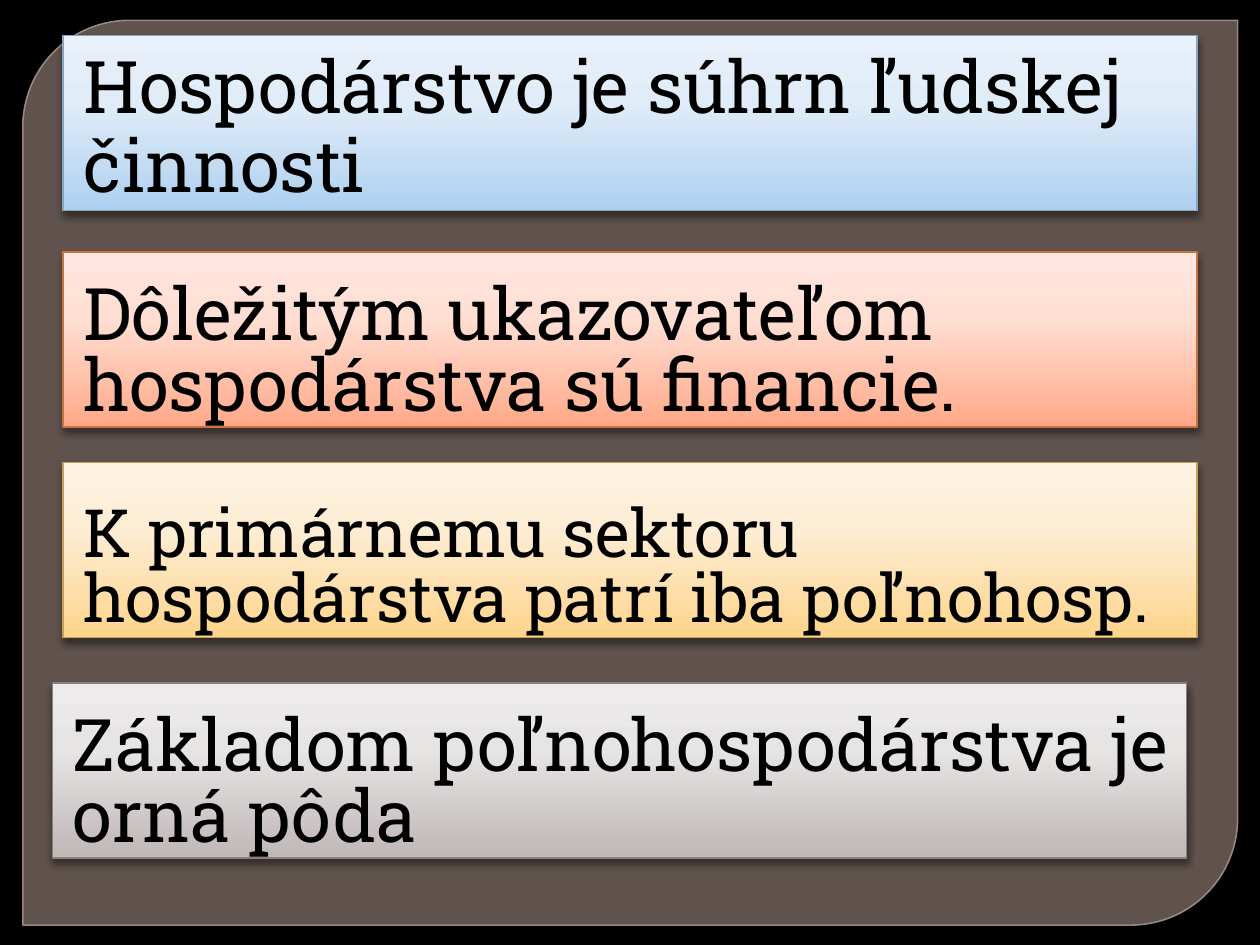
from lxml import etree
from pptx import Presentation
from pptx.dml.color import RGBColor
from pptx.enum.shapes import MSO_SHAPE
from pptx.enum.text import MSO_ANCHOR, PP_ALIGN
from pptx.oxml import parse_xml
from pptx.oxml.ns import qn
from pptx.util import Cm, Pt

NAMESPACE = 'xmlns:a="http://schemas.openxmlformats.org/drawingml/2006/main"'


def color(hex_string):
    return RGBColor.from_string(hex_string)


def write_text(shape, text, size=41.4, spacing=0.82, font="Roboto Slab", text_color="000000"):
    frame = shape.text_frame
    frame.word_wrap = True
    frame.vertical_anchor = MSO_ANCHOR.BOTTOM
    frame.margin_left = Cm(0.41)
    frame.margin_right = Cm(0)
    frame.margin_bottom = Cm(0.03)
    paragraph = frame.paragraphs[0]
    paragraph.text = text
    paragraph.alignment = PP_ALIGN.LEFT
    paragraph.line_spacing = spacing
    paragraph.font.size = Pt(size)
    paragraph.font.name = font
    paragraph.font.color.rgb = color(text_color)


presentation = Presentation()
presentation.slide_width = Cm(25.4)
presentation.slide_height = Cm(19.05)
slide = presentation.slides.add_slide(presentation.slide_layouts[6])
slide.background.fill.solid()
slide.background.fill.fore_color.rgb = color("000000")

# Translucent panel with two rounded corners
panel = slide.shapes.add_shape(
    MSO_SHAPE.ROUND_2_DIAG_RECTANGLE, Cm(0.46), Cm(0.41), Cm(24.49), Cm(18.64 - 0.4))
panel.adjustments[0] = 0.118
panel.adjustments[1] = 0
panel.shadow.inherit = False
panel.fill.solid()
panel.fill.fore_color.rgb = color("948079")
panel.line.color.rgb = color("A9948D")
panel.line.width = Pt(0.87)
for fill, opacity in ((panel.fill, 65000), (panel.line.fill, 88000)):
    color_element = fill._xPr.find(qn("a:solidFill"))[0]
    etree.SubElement(color_element, qn("a:alpha")).set("val", str(opacity))

# Statement bars: text, left, top, gradient from bottom to top, outline, text format
statements = [
    ("Hospodárstvo je súhrn ľudskej činnosti", 1.27, 0.71,
     ("AED0EF", "E0ECF8", "E9F1FA"), "86A5BF", {"spacing": 0.91}),
    ("Dôležitým ukazovateľom hospodárstva sú financie.", 1.27, 5.08,
     ("FFA988", "FFDED3", "FFE7DF"), "C97440", {}),
    ("K primárnemu sektoru hospodárstva patrí iba poľnohosp.", 1.27, 9.32,
     ("FED48B", "FDEDD5", "FDF2E1"), "C4A253", {"size": 38}),
    ("Základom poľnohospodárstva je orná pôda", 1.06, 13.77,
     ("C0B7B7", "E7E4E4", "EDEBEB"), "887F7F", {}),
]
for text, left, top, gradient, outline, text_format in statements:
    bar = slide.shapes.add_shape(
        MSO_SHAPE.RECTANGLE, Cm(left), Cm(top), Cm(22.86), Cm(3.53))
    bar.line.color.rgb = color(outline)
    bar.line.width = Pt(0.75)

    # Three-stop gradient
    stops = "".join(
        f'<a:gs pos="{position}"><a:srgbClr val="{stop}"/></a:gs>'
        for position, stop in zip((0, 62000, 100000), gradient))
    properties = bar._element.spPr
    properties.find(qn("a:prstGeom")).addnext(parse_xml(
        f'<a:gradFill {NAMESPACE} rotWithShape="1"><a:gsLst>{stops}</a:gsLst>'
        '<a:lin ang="16200000" scaled="0"/></a:gradFill>'))

    # Soft shadow below the bar
    properties.append(parse_xml(
        f'<a:effectLst {NAMESPACE}><a:outerShdw blurRad="{Pt(4)}" dist="{Pt(3)}" '
        'dir="5400000" rotWithShape="0"><a:srgbClr val="000000">'
        '<a:alpha val="43000"/></a:srgbClr></a:outerShdw></a:effectLst>'))
    write_text(bar, text, **text_format)

presentation.save("out.pptx")
